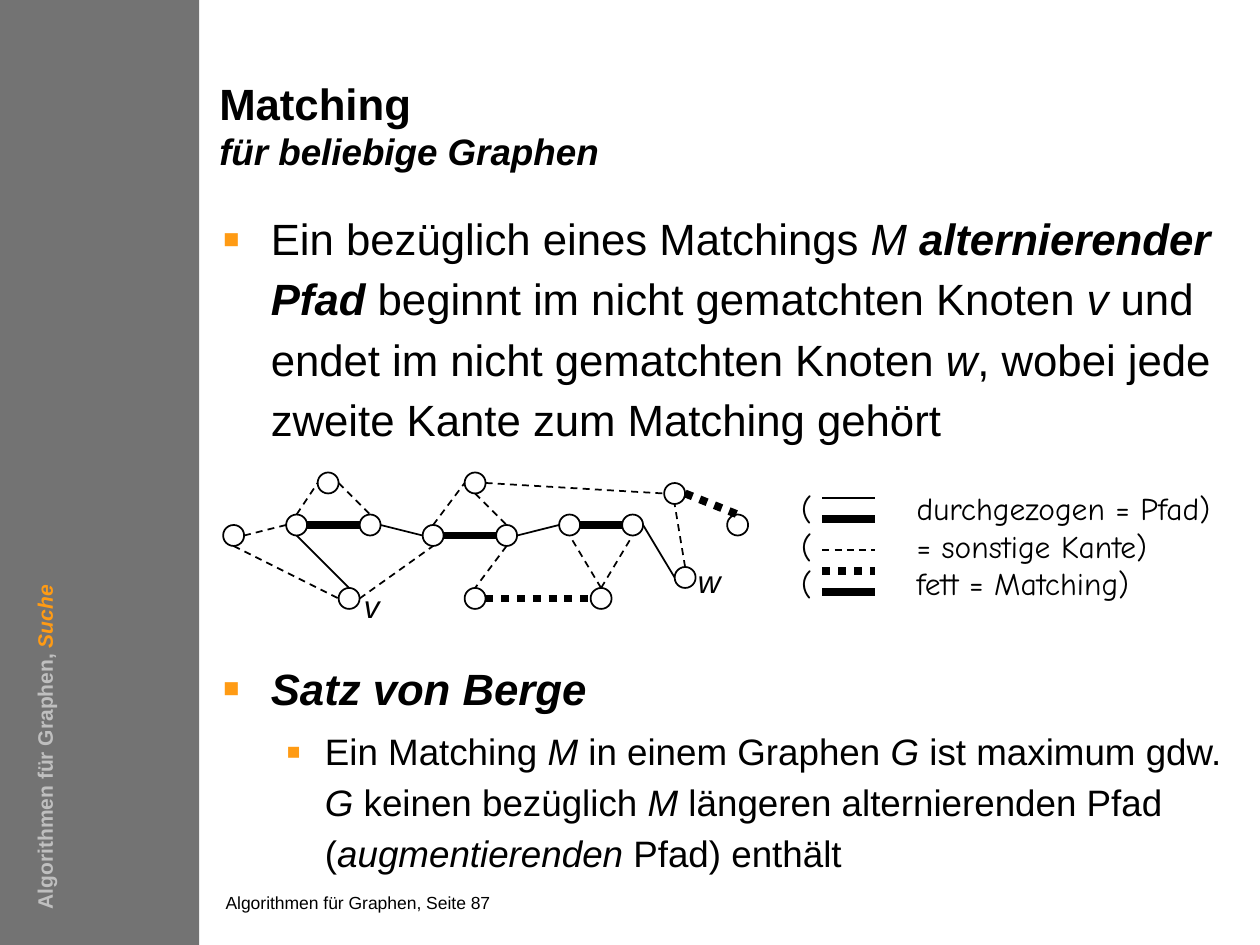
"""Build the slide on alternating paths and Berge's theorem."""
from lxml import etree
from pptx import Presentation
from pptx.dml.color import RGBColor
from pptx.enum.dml import MSO_LINE
from pptx.enum.shapes import MSO_CONNECTOR, MSO_SHAPE
from pptx.enum.text import MSO_ANCHOR, PP_ALIGN
from pptx.oxml.ns import qn
from pptx.util import Pt

STRAIGHT, OVAL, RECTANGLE = MSO_CONNECTOR.STRAIGHT, MSO_SHAPE.OVAL, MSO_SHAPE.RECTANGLE
TOP, LEFT = MSO_ANCHOR.TOP, PP_ALIGN.LEFT
COLORS = {"black": "000000", "sidebar": "737373", "accent": "FF9B14", "muted": "BFBFBF"}
LINES = {
    "path": (1, None),
    "path matching": (4.5, None),
    "other": (1, MSO_LINE.DASH),
    "matching": (4.5, MSO_LINE.ROUND_DOT),
}
BOLD, ITALIC = {"bold": True}, {"italic": True}
BOLD_ITALIC = BOLD | ITALIC

TITLE = [("Matching", {"size": 25}), ("für beliebige Graphen", {"size": 21, "italic": True})]
BODY = [
    (25, 0, 27.4, 27.4, [
        ("Ein bezüglich eines Matchings ", {}), ("M ", ITALIC),
        ("alternierender Pfad", BOLD_ITALIC),
        (" beginnt im nicht gematchten Knoten ", {}), ("v", ITALIC),
        (" und endet im nicht gematchten Knoten ", {}), ("w", ITALIC),
        (", wobei jede zweite Kante zum Matching gehört", {})]),
    (25, 119, 27.4, 27.4, [("Satz von Berge", BOLD_ITALIC)]),
    (21, 5, 58.3, 22.3, [
        ("Ein Matching ", {}), ("M", ITALIC), (" in einem Graphen ", {}), ("G", ITALIC),
        (" ist maximum gdw. ", {}), ("G", ITALIC), (" keinen bezüglich ", {}), ("M", ITALIC),
        (" längeren alternierenden Pfad (", {}), ("augmentierenden", ITALIC),
        (" Pfad) enthält", {})]),
]
SIDEBAR = [("Algorithmen für Graphen, ", {"color": "muted"}),
           ("Suche", {"color": "accent", "italic": True})]
FOOTER = "Algorithmen für Graphen, Seite 87"

GRID, GRAPH_LEFT, GRAPH_TOP = 6, 127.5, 270
NODES = {
    "a": (0, 5), "b": (6, 4), "c": (13, 4), "d": (19, 5), "e": (26, 5),
    "f": (32, 4), "g": (38, 4), "h": (48, 4), "i": (23, 11), "j": (35, 11),
    "w": (43, 9), "k": (9, 0), "l": (23, 0), "m": (42, 1), "v": (11, 11),
}
SIDES = {"top": (1, 0), "left": (0, 1), "bottom": (1, 2), "right": (2, 1)}
EDGES = {
    "path": ["v top b bottom", "c right d left", "e right f left", "g right w left"],
    "path matching": ["b right c left", "d right e left", "f right g left"],
    "other": [
        "b left a right", "a bottom v left", "b top k left", "k right c top",
        "v right d bottom", "d top l left", "l right m left", "l bottom e top",
        "e bottom i top", "j top g bottom", "j top f bottom", "w top m bottom"],
    "matching": ["i right j left", "m right h top"],
}
NODE_LABELS = [("v", 200.9, 331.9), ("w", 391.7, 317.5)]
LEGEND = ["(\tdurchgezogen = Pfad)", "(\t= sonstige Kante)", "(\tfett = Matching)"]
LEGEND_LINES = [("path", 284.5), ("path matching", 296.5), ("other", 314.5),
                ("matching", 326.5), ("path matching", 338.5)]


def rgb(name):
    return RGBColor.from_string(COLORS[name])


def add_run(paragraph, text, size, color="black", name="Arial", **style):
    run = paragraph.add_run()
    run.text = text
    run.font.color.rgb = rgb(color)
    for attribute, value in {"size": Pt(size), "name": name, **style}.items():
        setattr(run.font, attribute, value)


def add_text_box(slide, left, top, width, height, wrap=True, inset=True):
    box = slide.shapes.add_textbox(Pt(left), Pt(top), Pt(width), Pt(height))
    box.text_frame.word_wrap = wrap
    if not inset:
        clear_insets(box.text_frame)
    return box


def clear_insets(frame):
    for side in SIDES:
        setattr(frame, f"margin_{side}", 0)


def next_paragraph(frame, index):
    return frame.add_paragraph() if index else frame.paragraphs[0]


def add_properties(paragraph, elements):
    properties = paragraph._p.get_or_add_pPr()
    for tag, attributes in elements:
        etree.SubElement(properties, qn(tag), attributes)
    return properties


def add_line(slide, kind, begin, end):
    width, dash = LINES[kind]
    connector = slide.shapes.add_connector(STRAIGHT, *map(Pt, begin + end))
    connector.line.color.rgb = rgb("black")
    connector.line.width = Pt(width)
    if dash:
        connector.line.dash_style = dash
    etree.SubElement(connector._element.spPr, qn("a:effectLst"))


def add_title(slide):
    title = slide.shapes.title
    for attribute, value in {"left": 125.3, "top": 48.2, "width": 367, "height": 54}.items():
        setattr(title, attribute, Pt(value))
    frame = title.text_frame
    clear_insets(frame)
    frame.vertical_anchor = TOP
    paragraph = frame.paragraphs[0]
    paragraph.alignment = LEFT
    paragraph.line_spacing = Pt(25.4)
    for index, (text, style) in enumerate(TITLE):
        if index:
            paragraph.add_line_break()
        add_run(paragraph, text, bold=True, **style)


def add_body(slide):
    frame = add_text_box(slide, 127.4, 116.6, 581, 386, inset=False).text_frame
    for index, (size, space, margin, hanging, runs) in enumerate(BODY):
        paragraph = next_paragraph(frame, index)
        properties = add_properties(paragraph, [
            ("a:buClr", {}), ("a:buSzPct", {"val": "120000"}),
            ("a:buFont", {"typeface": "Arial"}), ("a:buChar", {"char": "▪"})])
        etree.SubElement(properties.find(qn("a:buClr")), qn("a:srgbClr"),
                         {"val": COLORS["accent"]})
        properties.set("marL", str(Pt(margin)))
        properties.set("indent", str(-Pt(hanging)))
        paragraph.line_spacing = 1.15
        paragraph.space_before = Pt(space)
        for text, style in runs:
            add_run(paragraph, text, size, **style)


def anchor_point(node, side):
    column, row = (a + b for a, b in zip(NODES[node], SIDES[side]))
    return GRAPH_LEFT + GRID * column, GRAPH_TOP + GRID * row


def add_graph(slide):
    for column, row in NODES.values():
        node = slide.shapes.add_shape(
            OVAL, Pt(GRAPH_LEFT + GRID * column), Pt(GRAPH_TOP + GRID * row),
            Pt(2 * GRID), Pt(2 * GRID))
        node.shadow.inherit = False
        node.fill.background()
        node.line.color.rgb = rgb("black")
        node.line.width = Pt(1)
    for kind, edges in EDGES.items():
        for edge in edges:
            start, start_side, end, end_side = edge.split()
            add_line(slide, kind, anchor_point(start, start_side), anchor_point(end, end_side))
    for text, left, top in NODE_LABELS:
        label = add_text_box(slide, left, top, 25, 29, wrap=False)
        add_run(label.text_frame.paragraphs[0], text, 18, italic=True)


def add_legend(slide):
    frame = add_text_box(slide, 450.7, 275.8, 255.6, 72).text_frame
    for index, text in enumerate(LEGEND):
        paragraph = next_paragraph(frame, index)
        properties = add_properties(paragraph, [("a:tabLst", {})])
        etree.SubElement(properties.find(qn("a:tabLst")), qn("a:tab"),
                         {"pos": str(Pt(66)), "algn": "l"})
        add_run(paragraph, text, 18, name="Comic Neue")
    for kind, height in LEGEND_LINES:
        add_line(slide, kind, (470, height), (500, height))


def main():
    presentation = Presentation()
    presentation.slide_width, presentation.slide_height = Pt(720), Pt(540)
    slide = presentation.slides.add_slide(presentation.slide_layouts[5])
    sidebar = slide.shapes.add_shape(RECTANGLE, 0, 0, Pt(113.8), Pt(540))
    sidebar.shadow.inherit = False
    sidebar.fill.solid()
    sidebar.fill.fore_color.rgb = rgb("sidebar")
    sidebar.line.fill.background()
    footer = add_text_box(slide, 128.9, 509.8, 350, 15, inset=False)
    add_run(footer.text_frame.paragraphs[0], FOOTER, 10)
    add_title(slide)
    add_body(slide)
    add_graph(slide)
    add_legend(slide)
    chapter = add_text_box(slide, -142.6, 347.8, 336.2, 21.6)
    chapter.rotation = 270
    for text, style in SIDEBAR:
        add_run(chapter.text_frame.paragraphs[0], text, 12, bold=True, **style)
    presentation.save("out.pptx")


if __name__ == "__main__":
    main()
